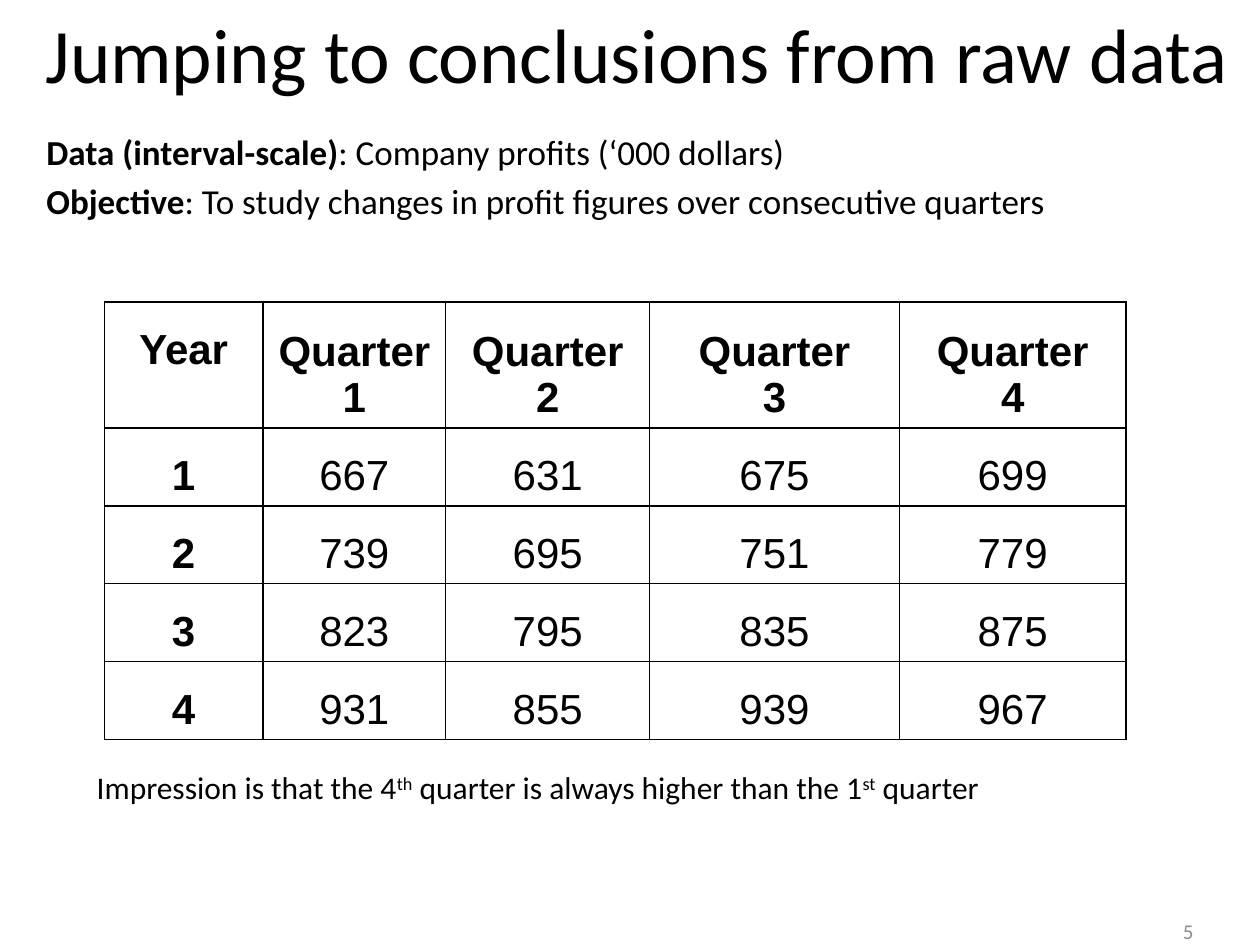
from dataclasses import dataclass

from lxml import etree
from pptx import Presentation
from pptx.dml.color import RGBColor
from pptx.enum.text import MSO_ANCHOR, PP_ALIGN
from pptx.oxml.ns import qn
from pptx.util import Pt

LEFT, CENTER, RIGHT = PP_ALIGN.LEFT, PP_ALIGN.CENTER, PP_ALIGN.RIGHT
TOP, MIDDLE, BOTTOM = MSO_ANCHOR.TOP, MSO_ANCHOR.MIDDLE, MSO_ANCHOR.BOTTOM
TITLE_ONLY = 5
COLORS = {"text": "000000", "border": "000000", "number": "8C8C8C"}
HEADER_SIZE = 24
HEADER_LINE = 27.6
COLUMN_WIDTHS = (90.7, 104.4, 116.6, 142.6, 129.6)
ROW_HEIGHTS = (72, 44.5, 44.5, 44.5, 44.5)
PROFITS = (
    (667, 631, 675, 699),
    (739, 695, 751, 779),
    (823, 795, 835, 875),
    (931, 855, 939, 967),
)


@dataclass(frozen=True)
class Span:
    """A piece of text with its own weight or raised position."""

    text: str
    bold: bool = False
    raised: bool = False


@dataclass(frozen=True)
class Area:
    """A rectangle in points."""

    left: float
    top: float
    width: float
    height: float

    def lengths(self) -> tuple:
        """Return the four values as slide lengths."""
        return tuple(Pt(value) for value in (self.left, self.top, self.width, self.height))


def write_text(frame, paragraphs: list[list[Span]], *, size: float, font: str = "Calibri",
               color: str = "text", align=LEFT, before: float = 0, spacing: float = 1.0) -> None:
    """Fill a text frame with formatted paragraphs."""
    frame.word_wrap = True
    for index, spans in enumerate(paragraphs):
        para = frame.add_paragraph() if index else frame.paragraphs[0]
        para.alignment = align
        para.space_before = Pt(before)
        para.line_spacing = spacing
        for span in spans:
            run = para.add_run()
            run.text = span.text
            run.font.name = font
            run.font.size = Pt(size)
            run.font.bold = span.bold
            run.font.color.rgb = RGBColor.from_string(COLORS[color])
            if span.raised:
                run._r.get_or_add_rPr().set("baseline", "30000")


def add_text(page, area: Area, paragraphs: list[list[Span]], *, anchor=TOP, **text_format) -> None:
    """Add a text box."""
    frame = page.shapes.add_textbox(*area.lengths()).text_frame
    frame.vertical_anchor = anchor
    write_text(frame, paragraphs, **text_format)


def add_title(page, area: Area, text: str) -> None:
    """Place and fill the title placeholder."""
    title = page.shapes.title
    title.left, title.top, title.width, title.height = area.lengths()
    title.text_frame.vertical_anchor = MIDDLE
    write_text(title.text_frame, [[Span(text)]], size=44, align=CENTER)


def draw_borders(cell, width: float = 1) -> None:
    """Draw a line on every side of a cell."""
    properties = cell._tc.get_or_add_tcPr()
    for position, side in enumerate(("lnL", "lnR", "lnT", "lnB")):
        line = etree.Element(qn(f"a:{side}"), w=str(Pt(width)))
        fill = etree.SubElement(line, qn("a:solidFill"))
        etree.SubElement(fill, qn("a:srgbClr"), val=COLORS["border"])
        properties.insert(position, line)


def add_profit_table(page, left: float, top: float) -> None:
    """Add the table of profits by year and quarter."""
    area = Area(left, top, sum(COLUMN_WIDTHS), sum(ROW_HEIGHTS))
    table = page.shapes.add_table(len(ROW_HEIGHTS), len(COLUMN_WIDTHS), *area.lengths()).table
    for column, width in zip(table.columns, COLUMN_WIDTHS):
        column.width = Pt(width)
    for row, height in zip(table.rows, ROW_HEIGHTS):
        row.height = Pt(height)

    header = [["Year"]] + [["Quarter", str(quarter)] for quarter in range(1, 5)]
    body = [[[str(value)] for value in (year, *profits)]
            for year, profits in enumerate(PROFITS, start=1)]
    for row_index, row_lines in enumerate([header, *body]):
        for column_index, lines in enumerate(row_lines):
            cell = table.cell(row_index, column_index)
            cell.fill.background()
            cell.vertical_anchor = BOTTOM
            bold = row_index == 0 or column_index == 0
            write_text(cell.text_frame, [[Span(line, bold)] for line in lines],
                       size=HEADER_SIZE, font="Arial", align=CENTER)
            draw_borders(cell)
    # "Year" lines up with the first line of the quarter headings
    table.cell(0, 0).margin_bottom = Pt(3.6 + HEADER_LINE)


def main() -> None:
    """Build and save the slide."""
    deck = Presentation()
    deck.slide_width, deck.slide_height = Pt(720), Pt(540)
    page = deck.slides.add_slide(deck.slide_layouts[TITLE_ONLY])

    add_text(page, Area(635.8, 513.4, 53.3, 37.4), [[Span("5")]],
             size=12, color="number", align=RIGHT, anchor=MIDDLE)
    add_title(page, Area(4.3, 0, 720, 60.5), "Jumping to conclusions from raw data")
    add_text(page, Area(19.4, 71.3, 686, 90.7), [
        [Span("Data (interval-scale)", bold=True), Span(": Company profits (‘000 dollars)")],
        [Span("Objective", bold=True),
         Span(": To study changes in profit figures over consecutive quarters")],
    ], size=20, before=4)
    add_profit_table(page, 59.6, 172.6)
    add_text(page, Area(48.2, 437.8, 625, 67.7), [[
        Span("Impression is that the 4"), Span("th", raised=True),
        Span(" quarter is always higher than the 1"), Span("st", raised=True),
        Span(" quarter"),
    ]], size=18, before=3.6, spacing=0.9)

    deck.save("out.pptx")


main()
